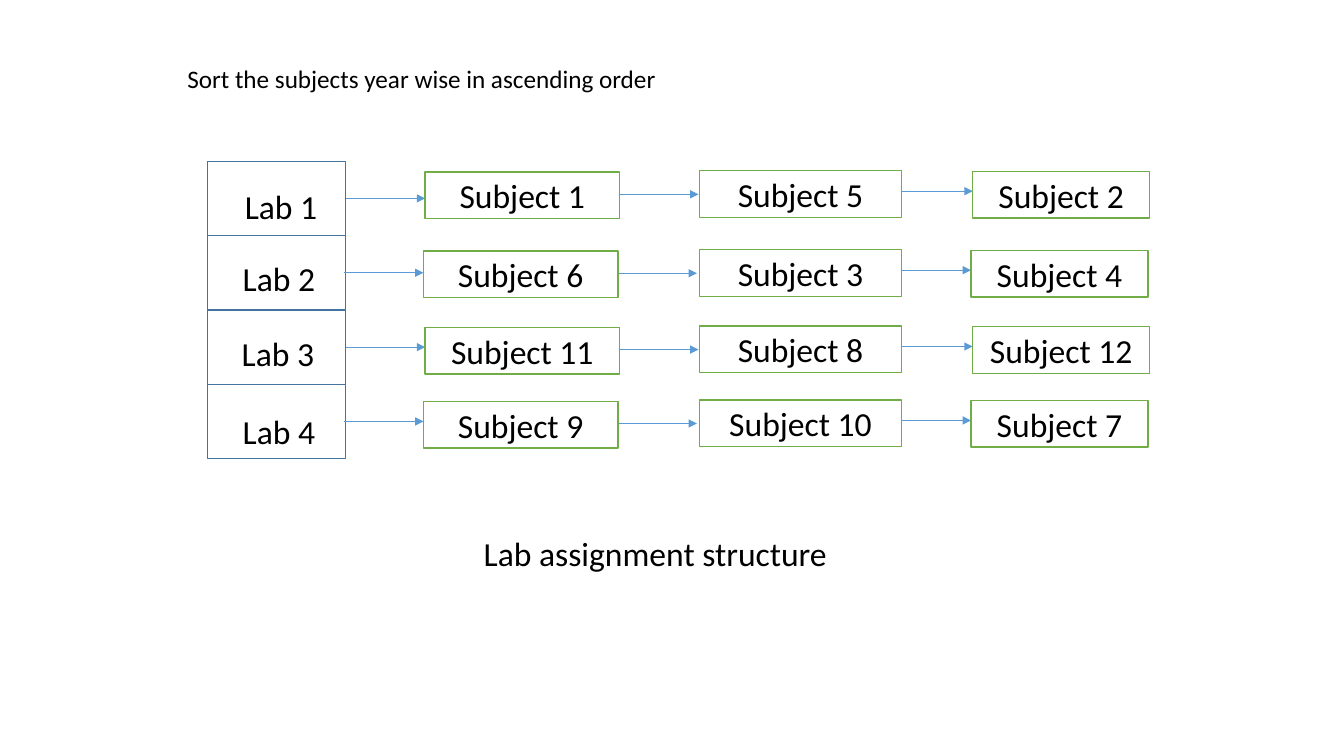
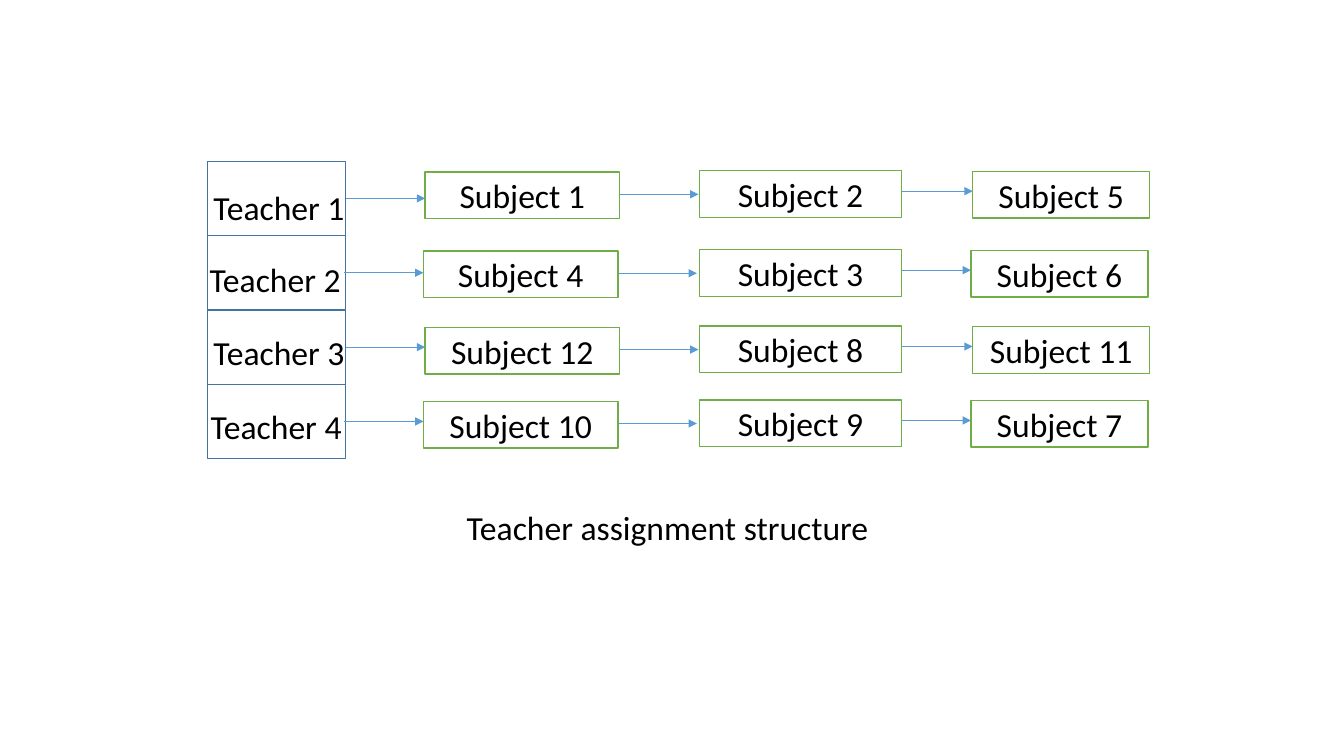
from dataclasses import dataclass
from typing import NamedTuple

from lxml.etree import SubElement
from pptx import Presentation
from pptx.dml.color import RGBColor
from pptx.enum.shapes import MSO_CONNECTOR, MSO_SHAPE
from pptx.enum.text import MSO_ANCHOR, MSO_AUTO_SIZE, PP_ALIGN
from pptx.oxml.ns import qn
from pptx.slide import Slide
from pptx.text.text import TextFrame
from pptx.util import Pt

FONT = "Calibri"
BLACK = "000000"
WHITE = "FFFFFF"
CELL_BLUE = "43739E"
ARROW_BLUE = "5B9BD5"
BOX_GREEN = "70AD47"

CELL_LEFT, CELL_TOP, CELL_WIDTH, CELL_HEIGHT = 148.4, 115.2, 98.6, 53.1
ROW_TOPS = (122.9, 179.3, 233.8, 286.6)
BOX_HEIGHT = 33.3
ARROW_LENGTH = 56.7
EVEN_ROW_SHIFT = -1.2


class Place(NamedTuple):
    left: float
    top: float
    width: float
    height: float


class Column(NamedTuple):
    left: float
    width: float
    rise: float
    shift: float


class Link(NamedTuple):
    end: float
    drop: float


@dataclass(frozen=True)
class Label:
    text: str
    place: Place
    size: float = 24


@dataclass(frozen=True)
class Assignment:
    owners: tuple[Label, ...]
    subjects: tuple[tuple[int, ...], ...]
    captions: tuple[Label, ...]


COLUMNS = (
    Column(303.7, 138.8, 0, EVEN_ROW_SHIFT),
    Column(499.6, 144.5, 1, 0),
    Column(694.8, 126.4, 0.5, EVEN_ROW_SHIFT),
)
LINKS = (Link(499, 15.9), Link(694.8, 13.7))


def owner_labels(
    name: str, width: float, corners: tuple[tuple[float, float], ...]
) -> tuple[Label, ...]:
    return tuple(
        Label(f"{name} {number}", Place(left, top, width, 36))
        for number, (left, top) in enumerate(corners, 1)
    )


ASSIGNMENTS = (
    Assignment(
        owner_labels(
            "Lab", 67, ((167.8, 129.6), (166.3, 180.9), (165.6, 234), (166.3, 290.3))
        ),
        ((1, 5, 2), (6, 3, 4), (11, 8, 12), (9, 10, 7)),
        (
            Label("Lab assignment structure", Place(338.4, 377.3, 262, 36)),
            Label(
                "Sort the subjects year wise in ascending order",
                Place(126.7, 41.8, 361.4, 29),
                18,
            ),
        ),
    ),
    Assignment(
        owner_labels(
            "Teacher", 109.4, ((145.4, 129.9), (142.6, 181.4), (145.4, 233.3), (143.3, 286.2))
        ),
        ((1, 2, 5), (4, 3, 6), (12, 8, 11), (10, 9, 7)),
        (Label("Teacher assignment structure", Place(326.2, 358.6, 304.6, 36)),),
    ),
)


def color(code: str) -> RGBColor:
    return RGBColor.from_string(code)


def write(
    frame: TextFrame,
    text: str,
    *,
    size: float = 24,
    align: PP_ALIGN = PP_ALIGN.LEFT,
    ink: str = BLACK,
) -> None:
    para = frame.paragraphs[0]
    para.alignment = align
    span = para.add_run()
    span.text = text
    span.font.name = FONT
    span.font.size = Pt(size)
    span.font.color.rgb = color(ink)


def add_label(page: Slide, label: Label) -> None:
    box = page.shapes.add_textbox(*map(Pt, label.place))
    frame = box.text_frame
    frame.word_wrap = False
    frame.auto_size = MSO_AUTO_SIZE.SHAPE_TO_FIT_TEXT
    write(frame, label.text, size=label.size)


def add_box(
    page: Slide, place: Place, outline: str, fill: str | None = None, text: str = ""
) -> None:
    box = page.shapes.add_shape(MSO_SHAPE.RECTANGLE, *map(Pt, place))
    box.shadow.inherit = False
    box.line.color.rgb = color(outline)
    box.line.width = Pt(1)
    if fill is None:
        box.fill.background()
    else:
        box.fill.solid()
        box.fill.fore_color.rgb = color(fill)
    if text:
        box.text_frame.vertical_anchor = MSO_ANCHOR.MIDDLE
        write(box.text_frame, text, align=PP_ALIGN.CENTER)


def add_arrow(page: Slide, end: float, height: float) -> None:
    arrow = page.shapes.add_connector(
        MSO_CONNECTOR.STRAIGHT, Pt(end - ARROW_LENGTH), Pt(height), Pt(end), Pt(height)
    )
    arrow.line.color.rgb = color(ARROW_BLUE)
    arrow.line.width = Pt(0.5)
    SubElement(arrow.line._get_or_add_ln(), qn("a:tailEnd"), type="triangle")
    SubElement(arrow._element.spPr, qn("a:effectLst"))


def add_row(page: Slide, index: int, owner: Label, subjects: tuple[int, ...]) -> None:
    even = index % 2
    row_top = ROW_TOPS[index]
    cell_top = CELL_TOP + index * CELL_HEIGHT
    add_box(page, Place(CELL_LEFT, cell_top, CELL_WIDTH, CELL_HEIGHT), CELL_BLUE)
    add_label(page, owner)
    add_arrow(page, COLUMNS[0].left + even * EVEN_ROW_SHIFT, cell_top + CELL_HEIGHT / 2)
    for link in LINKS:
        add_arrow(page, link.end + even * EVEN_ROW_SHIFT, row_top + link.drop)
    for column, subject in zip(COLUMNS, subjects):
        place = Place(
            column.left + even * column.shift, row_top - column.rise, column.width, BOX_HEIGHT
        )
        add_box(page, place, BOX_GREEN, WHITE, f"Subject {subject}")


def add_assignment(page: Slide, assignment: Assignment) -> None:
    for index, (owner, subjects) in enumerate(zip(assignment.owners, assignment.subjects)):
        add_row(page, index, owner, subjects)
    for caption in assignment.captions:
        add_label(page, caption)


def main() -> None:
    deck = Presentation()
    deck.slide_width = Pt(960)
    deck.slide_height = Pt(540)
    for assignment in ASSIGNMENTS:
        add_assignment(deck.slides.add_slide(deck.slide_layouts[6]), assignment)
    deck.save("out.pptx")


if __name__ == "__main__":
    main()
